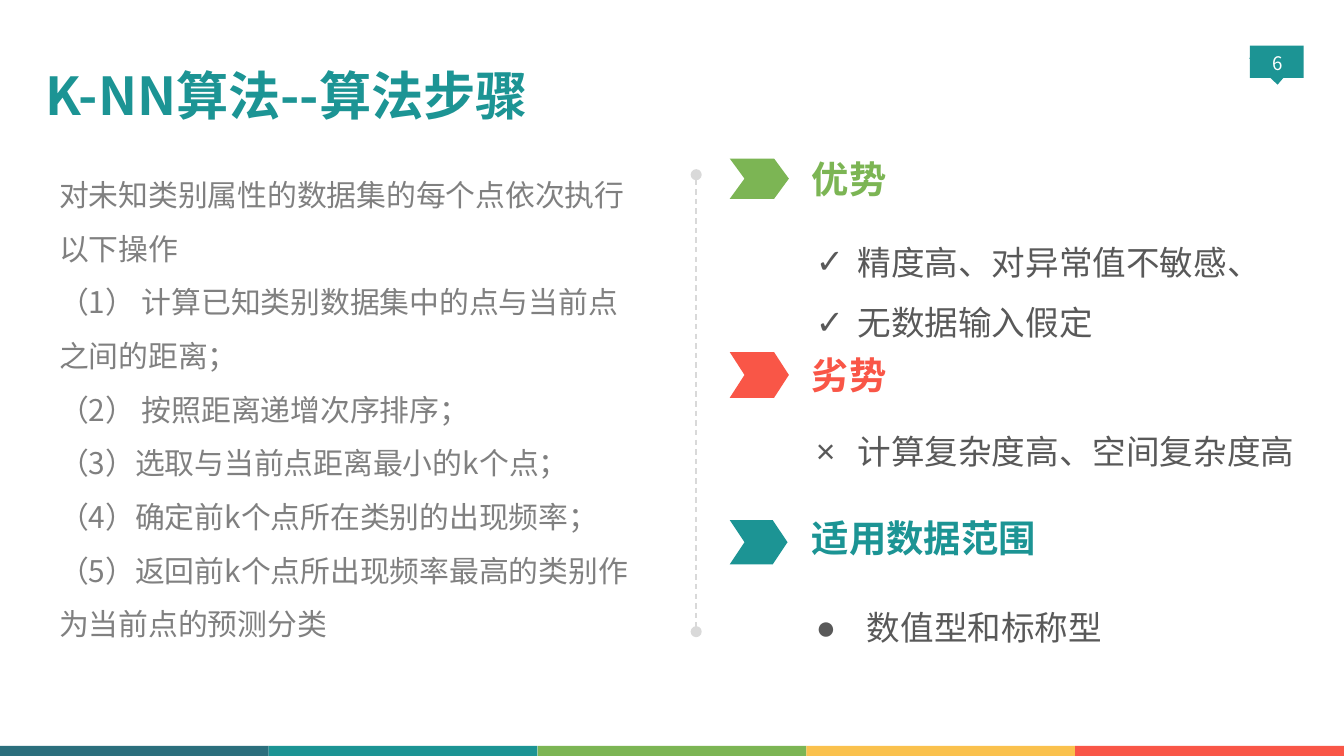
from lxml import etree
from pptx import Presentation
from pptx.dml.color import RGBColor
from pptx.enum.dml import MSO_LINE
from pptx.enum.shapes import MSO_CONNECTOR, MSO_SHAPE
from pptx.enum.text import MSO_ANCHOR, MSO_AUTO_SIZE, PP_ALIGN
from pptx.oxml.ns import qn
from pptx.util import Inches, Pt

RECT, TRIANGLE = MSO_SHAPE.RECTANGLE, MSO_SHAPE.ISOSCELES_TRIANGLE
STRAIGHT, DASH = MSO_CONNECTOR.STRAIGHT, MSO_LINE.DASH
TOP, MIDDLE = MSO_ANCHOR.TOP, MSO_ANCHOR.MIDDLE
LEFT, CENTER = PP_ALIGN.LEFT, PP_ALIGN.CENTER
FIXED = MSO_AUTO_SIZE.NONE

FONT, BULLET_FONT = "Noto Sans CJK SC", "Arial"
DARK_TEAL = RGBColor(0x2B, 0x6F, 0x7D)
TEAL = RGBColor(0x1C, 0x94, 0x94)
GREEN = RGBColor(0x7C, 0xB5, 0x54)
YELLOW = RGBColor(0xFA, 0xC1, 0x4D)
RED = RGBColor(0xF9, 0x56, 0x47)
WHITE = RGBColor(0xFF, 0xFF, 0xFF)
LIGHT_GRAY = RGBColor(0xD9, 0xD9, 0xD9)
GRAY = RGBColor(0x80, 0x80, 0x80)
DARK_GRAY = RGBColor(0x59, 0x59, 0x59)

TITLE = "K-NN算法--算法步骤"
PAGE = "6"
STEPS = [
    "对未知类别属性的数据集的每个点依次执行以下操作",
    "（1） 计算已知类别数据集中的点与当前点之间的距离；",
    "（2） 按照距离递增次序排序；",
    "（3）选取与当前点距离最小的k个点；",
    "（4）确定前k个点所在类别的出现频率；",
    "（5）返回前k个点所出现频率最高的类别作为当前点的预测分类",
]
SECTIONS = [
    dict(head="优势", color=GREEN, head_top=1.13, arrow=(1.18, 0.44, 0.3),
         bullet="✓", hang=0.31, box=(1.6, 5.72, 1),
         points=["精度高、对异常值不敏感、", "无数据输入假定"]),
    dict(head="劣势", color=RED, head_top=2.59, arrow=(2.62, 0.44, 0.34),
         bullet="×", hang=0.31, box=(3.01, 4.71, 1.46),
         points=["计算复杂度高、空间复杂度高"]),
    dict(head="适用数据范围", color=TEAL, head_top=3.8, arrow=(3.87, 0.43, 0.33),
         bullet="●", hang=0.38, box=(4.32, 5.72, 0.55),
         points=["数值型和标称型"]),
]
STRIPES = [DARK_TEAL, TEAL, GREEN, YELLOW, RED]
SLIDE_W = 10
SLIDE_H = SLIDE_W * 9 / 16
ARROW_X, TEXT_X = 5.43, 5.98


def place(sp, x, y, w, h):
    sp.left, sp.top, sp.width, sp.height = map(Inches, (x, y, w, h))
    return sp


def write(sp, lines, size, color, bold=False, align=LEFT, anchor=TOP,
          spacing=1.0, insets=(0.1, 0.05, 0.1, 0.05), bullet=None, hang=0):
    tf = sp.text_frame
    tf.word_wrap, tf.auto_size, tf.vertical_anchor = True, FIXED, anchor
    (tf.margin_left, tf.margin_top,
     tf.margin_right, tf.margin_bottom) = map(Inches, insets)
    for i, line in enumerate(lines):
        p = tf.add_paragraph() if i else tf.paragraphs[0]
        p.alignment, p.line_spacing = align, spacing
        p.space_before = p.space_after = Pt(0)
        pPr = p._p.get_or_add_pPr()
        pPr.set("marL", str(Inches(hang)))
        pPr.set("indent", str(-Inches(hang)))
        if bullet:
            etree.SubElement(pPr, qn("a:buFont"), typeface=BULLET_FONT)
            etree.SubElement(pPr, qn("a:buChar"), char=bullet)
        else:
            etree.SubElement(pPr, qn("a:buNone"))
        r = p.add_run()
        r.text = line
        r.font.name, r.font.size, r.font.bold = FONT, Pt(size), bold
        r.font.color.rgb = color
        etree.SubElement(r._r.get_or_add_rPr(), qn("a:ea"), typeface=FONT)


def paint(sp, color):
    sp.shadow.inherit = False
    sp.fill.solid()
    sp.fill.fore_color.rgb = color
    sp.line.fill.background()
    return sp


def add_block(s, kind, color, *box):
    return paint(s.shapes.add_shape(kind, *map(Inches, box)), color)


def add_text(s, box, lines, size, color, **fmt):
    write(s.shapes.add_textbox(*map(Inches, box)), lines, size, color, **fmt)


def add_arrow(s, color, y, w, h):
    notch, mid = 0.11, y + h / 2
    right = ARROW_X + w
    points = [(ARROW_X, y), (right - notch, y), (right, mid),
              (right - notch, y + h), (ARROW_X, y + h), (ARROW_X + notch, mid)]
    points = [(Inches(px), Inches(py)) for px, py in points]
    fb = s.shapes.build_freeform(*points[0])
    fb.add_line_segments(points[1:], close=True)
    paint(fb.convert_to_shape(), color)


def add_divider(s, x, top, bottom):
    line = s.shapes.add_connector(
        STRAIGHT, Inches(x), Inches(top), Inches(x), Inches(bottom))
    line.line.color.rgb = LIGHT_GRAY
    line.line.width, line.line.dash_style = Pt(0.75), DASH
    ln = line.line._get_or_add_ln()
    for end in ("a:headEnd", "a:tailEnd"):
        etree.SubElement(ln, qn(end), type="oval")
    etree.SubElement(line._element.spPr, qn("a:effectLst"))


def main():
    prs = Presentation()
    prs.slide_width, prs.slide_height = Inches(SLIDE_W), Inches(SLIDE_H)
    s = prs.slides.add_slide(prs.slide_layouts[1])
    title, body = s.placeholders

    add_block(s, RECT, TEAL, 9.3, 0.34, 0.4, 0.24)
    add_block(s, TRIANGLE, TEAL, 9.3, 0.42, 0.4, 0.21).rotation = 176.8
    add_text(s, (9.32, 0.3, 0.37, 0.38), [PAGE], 10, WHITE, align=CENTER,
             anchor=MIDDLE, insets=(0, 0, 0, 0.05))
    stripe_w = SLIDE_W / len(STRIPES)
    for i, color in enumerate(STRIPES):
        add_block(s, RECT, color, i * stripe_w, 5.55, stripe_w, 0.08)
    add_divider(s, 5.18, 1.3, 4.7)

    write(place(title, 0.34, 0.47, 6.99, 0.4), [TITLE], 28, TEAL, bold=True,
          insets=(0, 0, 0.1, 0))
    write(place(body, 0.34, 1.13, 4.55, 3.73), STEPS, 16, GRAY, spacing=1.5)

    for sec in SECTIONS:
        add_arrow(s, sec["color"], *sec["arrow"])
        add_text(s, (TEXT_X, sec["head_top"], 2.91, 0.4), [sec["head"]], 20,
                 sec["color"], bold=True, insets=(0.06, 0.03, 0.06, 0.03))
        add_text(s, (TEXT_X, *sec["box"]), sec["points"], 18, DARK_GRAY,
                 spacing=1.5, insets=(0.09, 0.05, 0.09, 0.05),
                 bullet=sec["bullet"], hang=sec["hang"])

    prs.save("out.pptx")


if __name__ == "__main__":
    main()
